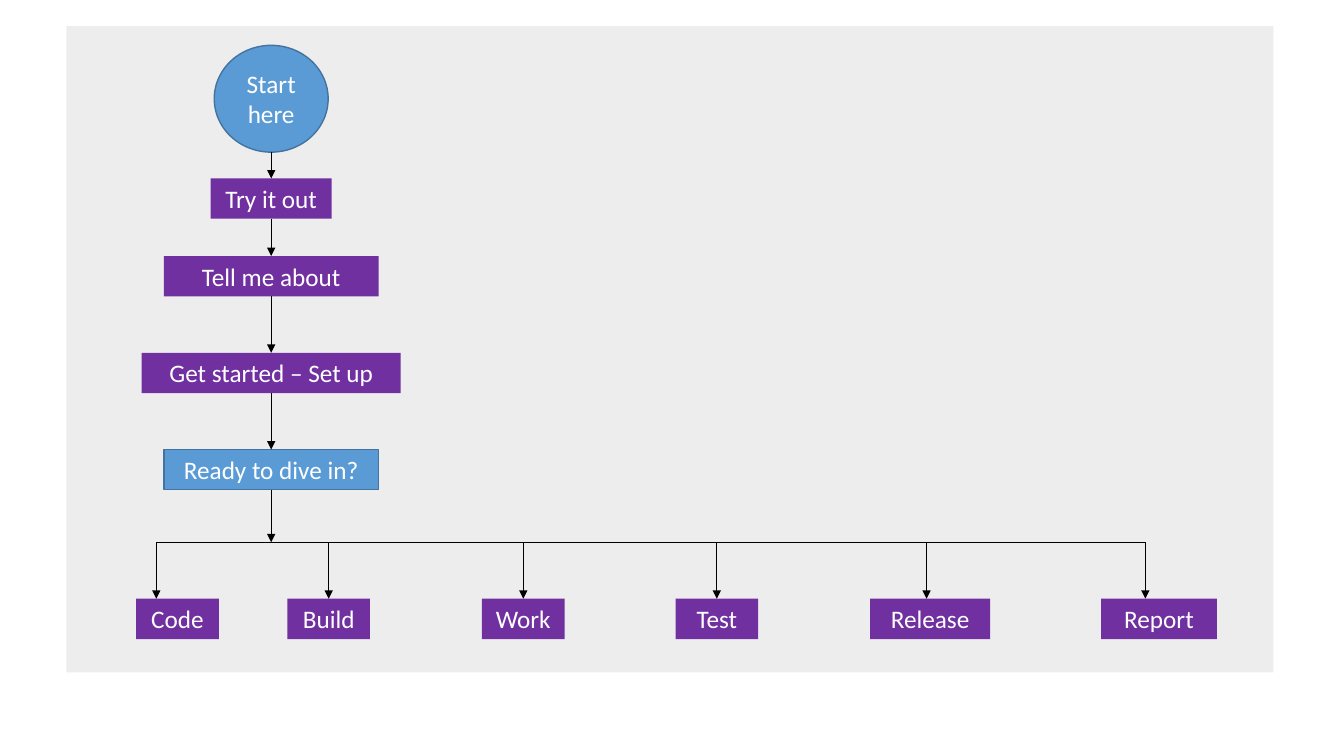
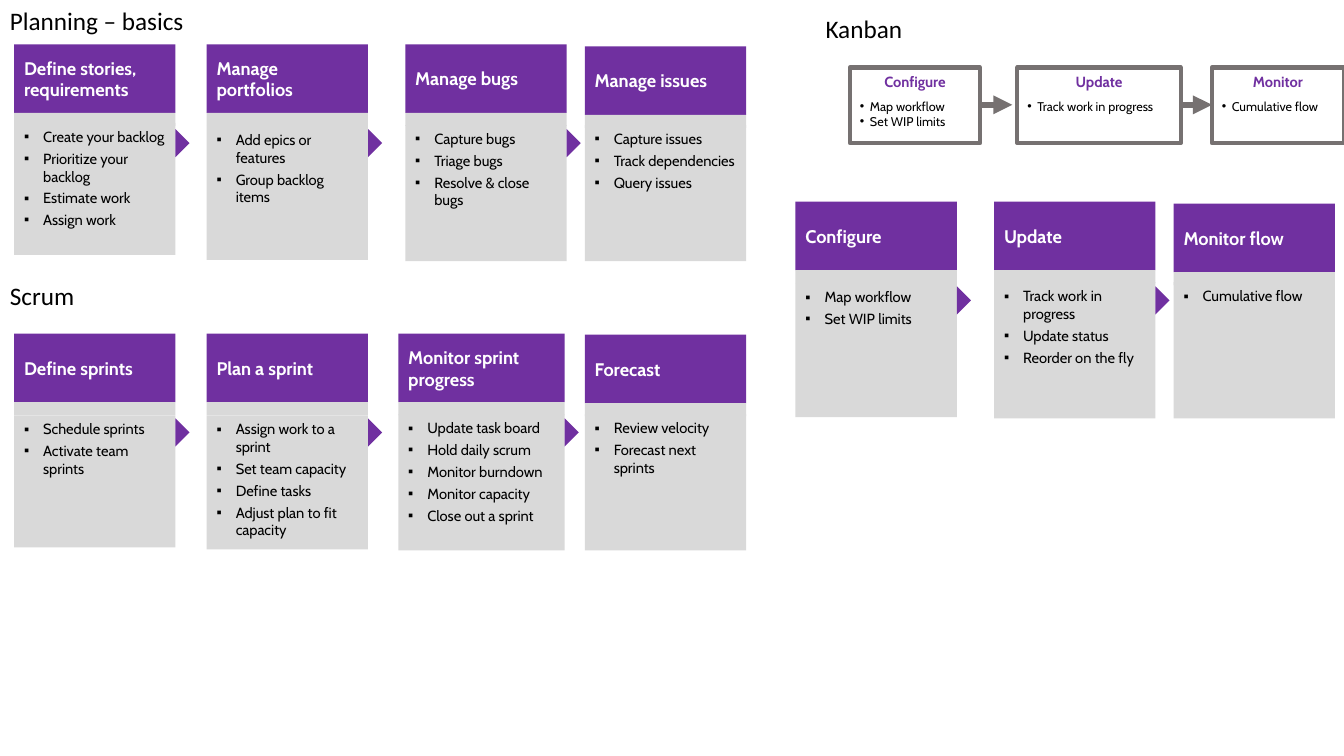
from dataclasses import dataclass

from lxml.etree import SubElement
from pptx import Presentation
from pptx.dml.color import RGBColor
from pptx.enum.shapes import MSO_CONNECTOR as Connector, MSO_SHAPE as Shape
from pptx.enum.text import MSO_ANCHOR as Anchor, PP_ALIGN as Align
from pptx.oxml.ns import qn
from pptx.util import Inches, Pt


@dataclass(frozen=True)
class Theme:
    purple: str = "7030A0"
    blue: str = "5B9BD5"
    blue_edge: str = "43739E"
    canvas: str = "EDEDED"
    panel: str = "D9D9D9"
    gray: str = "767171"
    black: str = "000000"
    white: str = "FFFFFF"
    plain_font: str = "Calibri"
    card_font: str = "Cabin"
    label_size: float = 18
    header_size: float = 13
    body_size: float = 10.5
    small_size: float = 9


theme = Theme()


def add_box(page, kind, left, top, width, height, fill=None, edge=None, edge_width=1):
    box = page.shapes.add_shape(kind, Inches(left), Inches(top), Inches(width), Inches(height))
    box.shadow.inherit = False
    if fill:
        box.fill.solid()
        box.fill.fore_color.rgb = RGBColor.from_string(fill)
    else:
        box.fill.background()
    if edge:
        box.line.color.rgb = RGBColor.from_string(edge)
        box.line.width = Pt(edge_width)
    else:
        box.line.fill.background()
    return box


def write_text(box, text, size=theme.label_size, font=theme.plain_font, color=theme.white, bold=False,
               align=Align.LEFT, anchor=Anchor.TOP, wrap=True, bullet=None, indent=0, before=0, after=0):
    """Add one paragraph, using the empty first one if nothing is written yet."""
    frame = box.text_frame
    frame.word_wrap = wrap
    frame.vertical_anchor = anchor
    first = not frame.text
    para = frame.paragraphs[0] if first else frame.add_paragraph()
    para.alignment = align
    if bullet:
        props = para._p.get_or_add_pPr()
        props.set("marL", str(Inches(indent)))
        props.set("indent", str(-Inches(indent)))
        SubElement(props, qn("a:buFont")).set("typeface", "Arial")
        SubElement(props, qn("a:buChar")).set("char", bullet)
    para.space_before = Pt(0 if first else before)
    para.space_after = Pt(after)
    span = para.add_run()
    span.text = text
    span.font.size = Pt(size)
    span.font.name = font
    span.font.bold = bold
    span.font.color.rgb = RGBColor.from_string(color)


deck = Presentation()
deck.slide_width, deck.slide_height = Inches(13.33), Inches(7.5)
blank = deck.slide_layouts[6]
lines = []  # page, start, end, colour, width, arrowhead

# Slide 1: flow from the start circle to six activities
flow = deck.slides.add_slide(blank)
add_box(flow, Shape.RECTANGLE, 0.66, 0.26, 11.97, 6.41, theme.canvas)

trunk_x, branch_y = 2.69, 5.38
step_height, leaf_top = 0.4, 5.94
steps = [
    ("Start here", Shape.OVAL, 0.45, 1.13, 1.06, True),
    ("Try it out", Shape.RECTANGLE, 1.77, 1.2, step_height, False),
    ("Tell me about", Shape.RECTANGLE, 2.54, 2.13, step_height, False),
    ("Get started – Set up", Shape.RECTANGLE, 3.5, 2.57, step_height, False),
    ("Ready to dive in?", Shape.RECTANGLE, 4.46, 2.13, step_height, True),
]
next_tops = [step[2] for step in steps[1:]] + [branch_y]
for (text, kind, top, width, height, milestone), next_top in zip(steps, next_tops):
    box = add_box(flow, kind, trunk_x - width / 2, top, width, height,
                  theme.blue if milestone else theme.purple, theme.blue_edge if milestone else None)
    write_text(box, text, align=Align.CENTER, anchor=Anchor.MIDDLE if milestone else Anchor.TOP)
    lines.append((flow, (trunk_x, top + height), (trunk_x, next_top), theme.black, 0.5, True))

leaves = [  # text, left, width, arrow position
    ("Code", 1.35, 0.82, 1.55),
    ("Build", 2.85, 0.82, 3.26),
    ("Work", 4.78, 0.82, 5.19),
    ("Test", 6.7, 0.82, 7.11),
    ("Release", 8.63, 1.19, 9.19),
    ("Report", 10.92, 1.15, 11.36),
]
for text, left, width, arrow_x in leaves:
    box = add_box(flow, Shape.RECTANGLE, left, leaf_top, width, step_height, theme.purple)
    write_text(box, text, align=Align.CENTER)
    lines.append((flow, (arrow_x, branch_y), (arrow_x, leaf_top), theme.black, 0.5, True))
lines.append((flow, (leaves[0][3], branch_y), (leaves[-1][3], branch_y), theme.black, 0.5, False))

# Slide 2: cards for planning, Scrum and Kanban
cards_page = deck.slides.add_slide(blank)
for text, left, top, width in [
    ("Planning – basics", 0, 0, 2.06),
    ("Scrum", 0, 2.73, 0.85),
    ("Kanban", 8.09, 0.08, 0.97),
]:
    title = cards_page.shapes.add_textbox(Inches(left), Inches(top), Inches(width), Inches(0.4))
    write_text(title, text, color=theme.black, wrap=False)

outline_cards = [
    ("Configure", 8.43, 1.29, ["Map workflow", "Set WIP limits"]),
    ("Update", 10.09, 1.62, ["Track work in progress"]),
    ("Monitor", 12.02, 1.31, ["Cumulative flow"]),
]
for heading, left, width, items in outline_cards:
    box = add_box(cards_page, Shape.RECTANGLE, left, 0.67, width, 0.75, edge=theme.gray, edge_width=3)
    write_text(box, heading, size=theme.body_size, font=theme.card_font, color=theme.purple,
               bold=True, align=Align.CENTER, after=6)
    for item in items:
        write_text(box, item, size=theme.small_size, font=theme.card_font, color=theme.black,
                   bullet="•", indent=0.1)
for start_x, end_x in [(9.73, 10.04), (11.71, 12.02)]:
    lines.append((cards_page, (start_x, 1.04), (end_x, 1.04), theme.gray, 4.5, True))

header_height, strip_height = 0.68, 0.13
pointer_width, pointer_height = 0.28, 0.14
card_rows = [  # each card: heading, left, top, width, body top, body height, items
    [
        ("Define stories, requirements", 0.14, 0.44, 1.6, 1.22, 1.31,
         ["Create your backlog", "Prioritize your backlog", "Estimate work", "Assign work"]),
        ("Manage portfolios", 2.05, 0.44, 1.6, 1.25, 1.33,
         ["Add epics or features", "Group backlog items"]),
        ("Manage bugs", 4.02, 0.44, 1.6, 1.24, 1.35,
         ["Capture bugs", "Triage bugs", "Resolve & close bugs"]),
        ("Manage issues", 5.8, 0.46, 1.6, 1.24, 1.35,
         ["Capture issues", "Track dependencies", "Query issues"]),
    ],
    [
        ("Define sprints", 0.14, 3.31, 1.6, 4.12, 1.31,
         ["Schedule sprints", "Activate team sprints"]),
        ("Plan a sprint", 2.05, 3.31, 1.6, 4.12, 1.33,
         ["Assign work to a sprint", "Set team capacity", "Define tasks", "Adjust plan to fit capacity"]),
        ("Monitor sprint progress", 3.95, 3.31, 1.65, 4.11, 1.35,
         ["Update task board", "Hold daily scrum", "Monitor burndown", "Monitor capacity",
          "Close out a sprint"]),
        ("Forecast", 5.8, 3.32, 1.6, 4.11, 1.35,
         ["Review velocity", "Forecast next sprints"]),
    ],
    [
        ("Configure", 7.89, 2, 1.6, 2.81, 1.33, ["Map workflow", "Set WIP limits"]),
        ("Update", 9.86, 2, 1.6, 2.8, 1.35,
         ["Track work in progress", "Update status", "Reorder on the fly"]),
        ("Monitor flow", 11.64, 2.02, 1.6, 2.8, 1.35, ["Cumulative flow"]),
    ],
]
for row in card_rows:
    for heading, left, top, width, body_top, body_height, items in row:
        header = add_box(cards_page, Shape.RECTANGLE, left, top, width, header_height, theme.purple)
        write_text(header, heading, size=theme.header_size, font=theme.card_font, bold=True,
                   anchor=Anchor.MIDDLE)
        body = add_box(cards_page, Shape.RECTANGLE, left, body_top, width, body_height, theme.panel)
        for item in items:
            write_text(body, item, size=theme.body_size, font=theme.card_font, color=theme.black,
                       bullet="▪", indent=0.19, before=3)
        add_box(cards_page, Shape.RECTANGLE, left, top + header_height, width, strip_height, theme.panel)
    for heading, left, top, width, *rest in row[:-1]:
        pointer = add_box(cards_page, Shape.ISOSCELES_TRIANGLE, left + width - 0.07, top + 0.91,
                          pointer_width, pointer_height, theme.purple)
        pointer.rotation = 90

# Lines and arrows of both slides
for page, start, end, color, width, arrowhead in lines:
    line = page.shapes.add_connector(Connector.STRAIGHT, *map(Inches, start + end))
    line.line.color.rgb = RGBColor.from_string(color)
    line.line.width = Pt(width)
    props = line.element.spPr
    if arrowhead:
        SubElement(props.find(qn("a:ln")), qn("a:tailEnd")).set("type", "triangle")
    SubElement(props, qn("a:effectLst"))

deck.save("out.pptx")
